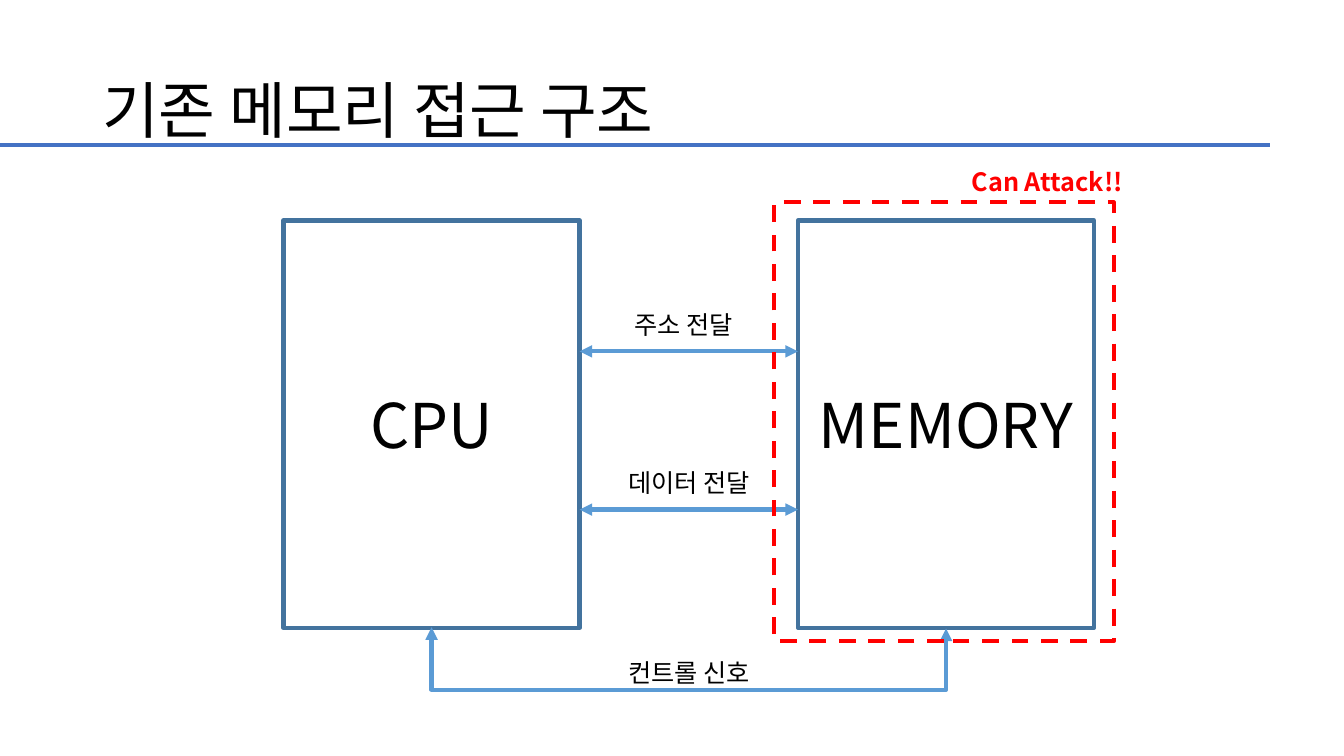
from lxml import etree
from pptx import Presentation
from pptx.dml.color import RGBColor
from pptx.enum.dml import MSO_LINE
from pptx.enum.shapes import MSO_CONNECTOR, MSO_SHAPE
from pptx.enum.text import MSO_ANCHOR, MSO_AUTO_SIZE, PP_ALIGN
from pptx.oxml.ns import qn
from pptx.util import Pt

RECTANGLE = MSO_SHAPE.RECTANGLE
STRAIGHT, ELBOW = MSO_CONNECTOR.STRAIGHT, MSO_CONNECTOR.ELBOW
DASH = MSO_LINE.DASH
LEFT, CENTER = PP_ALIGN.LEFT, PP_ALIGN.CENTER
TOP, MIDDLE = MSO_ANCHOR.TOP, MSO_ANCHOR.MIDDLE
FIT_SHAPE = MSO_AUTO_SIZE.SHAPE_TO_FIT_TEXT

FONT = "Noto Sans CJK KR"
BLACK, RED = "000000", "FF0000"
RULE_BLUE, BLOCK_BLUE, ARROW_BLUE = "4472C4", "43739E", "5B9BD5"


def color(value):
    return RGBColor.from_string(value)


def write(frame, text, size=18, fill=BLACK, bold=False, align=LEFT,
          anchor=TOP, spacing=None):
    frame.word_wrap = True
    frame.vertical_anchor = anchor
    para = frame.paragraphs[0]
    para.alignment = align
    if spacing:
        para.line_spacing = spacing
    span = para.add_run()
    span.text = text
    span.font.size = Pt(size)
    span.font.bold = bold
    span.font.name = FONT
    span.font.color.rgb = color(fill)
    # Hangul takes the East Asian typeface
    properties = span.font._element
    east_asian = etree.Element(qn("a:ea"), typeface=FONT)
    properties.find(qn("a:latin")).addnext(east_asian)


class Diagram:
    line_width = 3

    def __init__(self, page):
        self.page = page

    def text(self, text, left, top, width, height, fit=True, **style):
        box = self.page.shapes.add_textbox(Pt(left), Pt(top), Pt(width), Pt(height))
        write(box.text_frame, text, **style)
        if fit:
            box.text_frame.auto_size = FIT_SHAPE

    def frame(self, left, top, width, height, line, dash=None):
        box = self.page.shapes.add_shape(
            RECTANGLE, Pt(left), Pt(top), Pt(width), Pt(height))
        box.shadow.inherit = False
        box.fill.background()
        box.line.color.rgb = color(line)
        box.line.width = Pt(self.line_width)
        if dash:
            box.line.dash_style = dash
        return box

    def block(self, text, *place):
        box = self.frame(*place, BLOCK_BLUE)
        write(box.text_frame, text, size=44, align=CENTER, anchor=MIDDLE)

    def line(self, x1, y1, x2, y2, line, kind=STRAIGHT, arrows=True):
        connector = self.page.shapes.add_connector(
            kind, Pt(x1), Pt(y1), Pt(x2), Pt(y2))
        connector.line.color.rgb = color(line)
        connector.line.width = Pt(self.line_width)
        if arrows:
            outline = connector.line._get_or_add_ln()
            for end in ("a:headEnd", "a:tailEnd"):
                etree.SubElement(outline, qn(end), type="triangle")
        etree.SubElement(connector._element.spPr, qn("a:effectLst"))
        return connector

    def loop_below(self, x1, x2, y, drop, line):
        # A one-point-wide elbow, turned so that its bend hangs below both ends
        middle, half = (x1 + x2) / 2, (x2 - x1) / 2
        connector = self.line(middle - 0.5, y - half, middle + 0.5, y + half,
                              line, kind=ELBOW)
        properties = connector._element.spPr
        transform = properties.find(qn("a:xfrm"))
        transform.set("rot", str(270 * 60000))
        transform.set("flipH", "1")
        geometry = properties.find(qn("a:prstGeom"))
        adjustments = geometry.find(qn("a:avLst"))
        if adjustments is None:
            adjustments = etree.SubElement(geometry, qn("a:avLst"))
        etree.SubElement(adjustments, qn("a:gd"), name="adj1",
                         fmla=f"val {drop * 100000}")


def main():
    deck = Presentation()
    deck.slide_width, deck.slide_height = Pt(960), Pt(540)
    page = deck.slides.add_slide(deck.slide_layouts[6])
    diagram = Diagram(page)

    # Title and rule
    diagram.line(0, 103.5, 907, 103.5, RULE_BLUE, arrows=False)
    diagram.text("기존 메모리 접근 구조", 66, 28.75, 828, 104.4, fit=False,
                 size=44, anchor=MIDDLE, spacing=0.9)

    # CPU and memory blocks
    cpu_left, memory_left, block_top = 202.5, 570, 157.5
    block_width, block_height = 211.5, 291
    diagram.block("CPU", cpu_left, block_top, block_width, block_height)
    diagram.block("MEMORY", memory_left, block_top, block_width, block_height)

    # Signals between the blocks
    cpu_right = cpu_left + block_width
    for y in (251, 364):
        diagram.line(cpu_right, y, memory_left, y, ARROW_BLUE)
    diagram.loop_below(cpu_left + block_width / 2, memory_left + block_width / 2,
                       block_top + block_height, 45, ARROW_BLUE)

    # Signal labels
    for label, left, top in (("주소 전달", 428, 217.5),
                             ("데이터 전달", 432, 330),
                             ("컨트롤 신호", 432, 466)):
        diagram.text(label, left, top, 120, 29, align=CENTER)

    # Attack area
    diagram.frame(553, 144.5, 242.5, 313.5, RED, dash=DASH)
    diagram.text("Can Attack!!", 687, 115, 156, 29, fill=RED, bold=True)

    deck.save("out.pptx")


if __name__ == "__main__":
    main()
